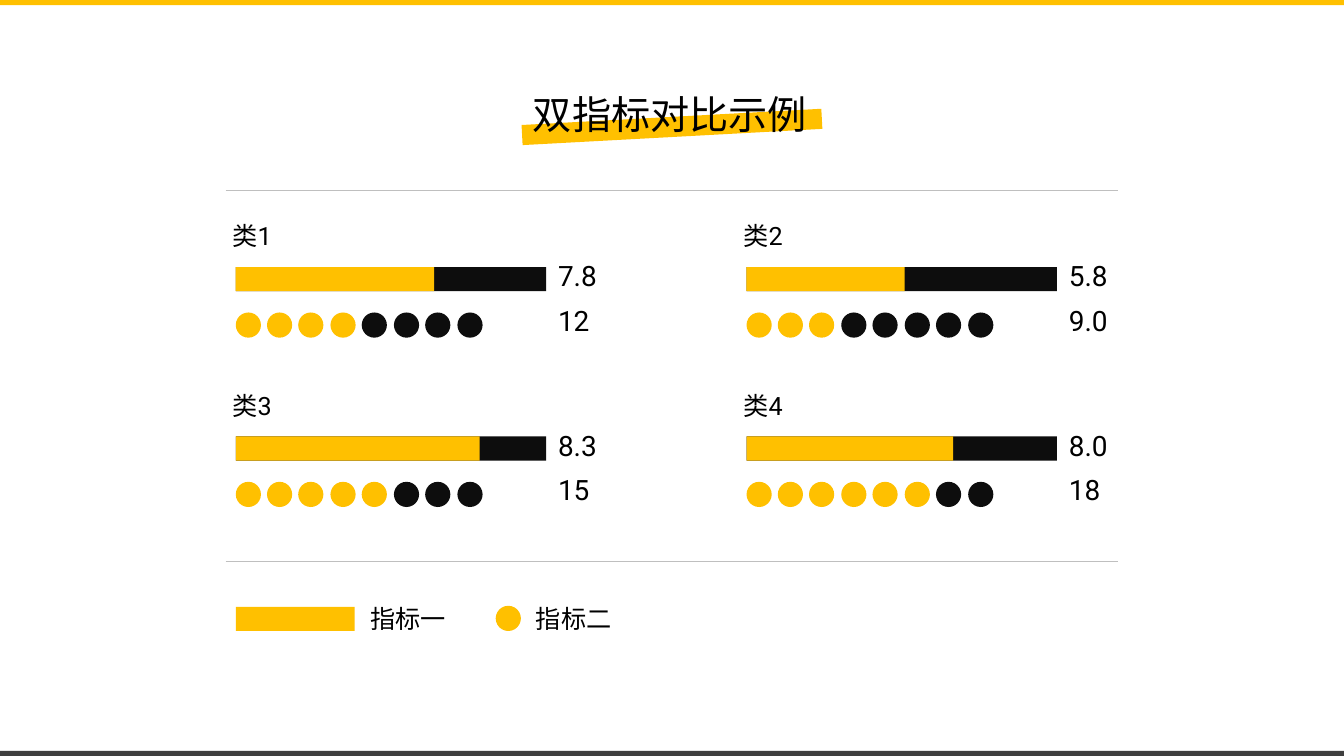
from pptx import Presentation
from pptx.dml.color import RGBColor
from pptx.enum import shapes, text
from pptx.oxml.ns import qn
from pptx.util import Pt
from lxml import etree

PX = 9144  # 100 px to the inch
GOLD = RGBColor(0xFF, 0xC0, 0x00)
INK = RGBColor(0x0D, 0x0D, 0x0D)
BLACK = RGBColor(0, 0, 0)
SLATE = RGBColor(0x3F, 0x3F, 0x3F)
GREY = RGBColor(0xBF, 0xBF, 0xBF)
RECT = shapes.MSO_SHAPE.RECTANGLE
OVAL = shapes.MSO_SHAPE.OVAL

deck = Presentation()
deck.slide_width, deck.slide_height = 1334 * PX, 750 * PX
slide = deck.slides.add_slide(deck.slide_layouts[5])


def block(kind, x, y, w, h, fill):
    """Add a plain filled shape without outline."""
    shape = slide.shapes.add_shape(kind, x * PX, y * PX, w * PX, h * PX)
    shape.shadow.inherit = False
    shape.fill.solid()
    shape.fill.fore_color.rgb = fill
    shape.line.fill.background()
    return shape


def label(words, x, y, w, h, size, box=None):
    """Write one line of text in a new box, or in the given one."""
    box = box or slide.shapes.add_textbox(0, 0, 0, 0)
    box.left, box.top, box.width, box.height = x * PX, y * PX, w * PX, h * PX
    frame = box.text_frame
    frame.text = words
    frame.word_wrap = False
    frame.auto_size = text.MSO_AUTO_SIZE.NONE
    frame.vertical_anchor = text.MSO_ANCHOR.TOP
    para = frame.paragraphs[0]
    para.alignment = text.PP_ALIGN.LEFT
    para.font.name = "Roboto"
    para.font.size = Pt(size)
    para.font.color.rgb = BLACK


# Edge bands and title
block(RECT, 0, 0, 1334, 5, GOLD)
block(RECT, 0, 745, 1334, 5, SLATE)
block(RECT, 518, 116, 298, 20, GOLD).rotation = -3.1
title = slide.shapes.title
label("双指标对比示例", 519, 85, 292, 57, 28, title)
title.element.getparent().append(title.element)  # above the gold stroke

# Category, first value, gold bar length, second value, gold dots
groups = [
    ("类1", "7.8", 197, "12", 4),
    ("类2", "5.8", 157, "9.0", 3),
    ("类3", "8.3", 242, "15", 5),
    ("类4", "8.0", 205, "18", 6),
]
for n, (name, first, length, second, count) in enumerate(groups):
    x, y = 234 + n % 2 * 507, 265 + n // 2 * 168
    label(name, x - 13, y - 51, 65, 40, 18)
    block(RECT, x, y, 308, 24, INK)
    block(RECT, x, y, length, 24, GOLD)
    for i in range(8):
        block(OVAL, x + 220 * i // 7, y + 45, 25, 25, GOLD if i < count else INK)
    label(first, x + 310, y - 13, 59, 44, 20)
    label(second, x + 310, y + 31, 59, 44, 20)

# Rules above and below the groups
for y in (189, 557):
    rule = slide.shapes.add_connector(
        shapes.MSO_CONNECTOR.STRAIGHT, 224 * PX, y * PX, 1110 * PX, y * PX)
    rule.line.color.rgb = GREY
    rule.line.width = Pt(0.5)
    etree.SubElement(rule.element.spPr, qn("a:effectLst"))

# Legend
block(RECT, 234, 602, 118, 24, GOLD)
label("指标一", 358, 594, 95, 40, 18)
block(OVAL, 492, 601, 25, 25, GOLD)
label("指标二", 522, 594, 95, 40, 18)

deck.save("out.pptx")
